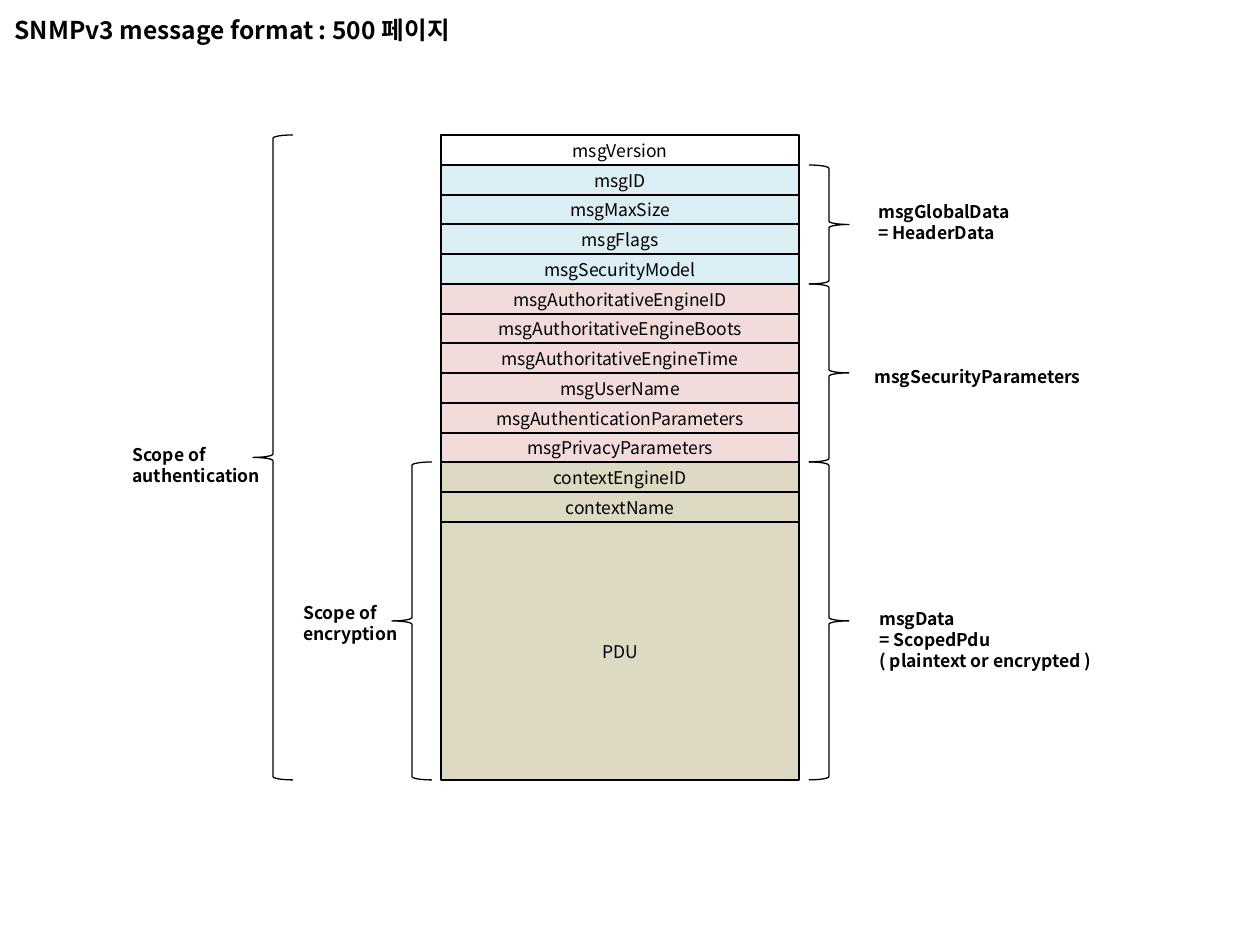
"""Build the SNMPv3 message format slide."""
from dataclasses import dataclass

from lxml import etree
from pptx import Presentation
from pptx.dml.color import RGBColor
from pptx.enum.shapes import MSO_SHAPE
from pptx.enum.text import MSO_ANCHOR, MSO_AUTO_SIZE, PP_ALIGN
from pptx.oxml.ns import qn
from pptx.util import Emu, Pt

RECTANGLE = MSO_SHAPE.RECTANGLE
LEFT_BRACE, RIGHT_BRACE = MSO_SHAPE.LEFT_BRACE, MSO_SHAPE.RIGHT_BRACE
MIDDLE, TOP = MSO_ANCHOR.MIDDLE, MSO_ANCHOR.TOP
LEFT, CENTER = PP_ALIGN.LEFT, PP_ALIGN.CENTER
NO_FIT, GROW = MSO_AUTO_SIZE.NONE, MSO_AUTO_SIZE.SHAPE_TO_FIT_TEXT

BLACK = RGBColor(0x00, 0x00, 0x00)
WHITE = RGBColor(0xFF, 0xFF, 0xFF)
BLUE = RGBColor(0xDB, 0xEE, 0xF4)
PINK = RGBColor(0xF2, 0xDC, 0xDB)
TAN = RGBColor(0xDD, 0xD9, 0xC3)

FONT = "Noto Sans CJK KR"
EMU_PER_INCH, PX_PER_INCH = 914400, 126
STACK_LEFT, STACK_TOP, STACK_WIDTH = 441, 135, 358
PDU_TOP, STACK_BOTTOM = 522, 780
BRACE_WIDTH = 40

TITLE_FORMAT = {"name": FONT, "size": Pt(14), "bold": True}
FIELD_FORMAT = {"name": FONT, "size": Pt(10), "bold": False}
LABEL_FORMAT = {"name": FONT, "size": Pt(10), "bold": True}
TITLE_FRAME = {"word_wrap": True, "auto_size": NO_FIT, "vertical_anchor": MIDDLE}
FIELD_FRAME = TITLE_FRAME
LABEL_FRAME = {"word_wrap": False, "auto_size": GROW, "vertical_anchor": TOP}
TITLE_PARA = {"alignment": LEFT}
FIELD_PARA = {"alignment": CENTER}
LABEL_PARA = {"alignment": LEFT, "line_spacing": Pt(12)}


@dataclass(frozen=True)
class Section:
    """Consecutive message fields that share a fill."""
    fill: RGBColor
    fields: tuple[str, ...]


@dataclass(frozen=True)
class Scope:
    """A brace over a range of field edges, with its label."""
    brace: MSO_SHAPE
    left: int
    first: int
    last: int
    label: tuple[str, ...]
    label_box: tuple[int, int, int, int]


SECTIONS = (
    Section(WHITE, ("msgVersion",)),
    Section(BLUE, ("msgID", "msgMaxSize", "msgFlags", "msgSecurityModel")),
    Section(PINK, ("msgAuthoritativeEngineID", "msgAuthoritativeEngineBoots",
                   "msgAuthoritativeEngineTime", "msgUserName",
                   "msgAuthenticationParameters", "msgPrivacyParameters")),
    Section(TAN, ("contextEngineID", "contextName", "PDU")),
)
FIELDS = [(name, section.fill) for section in SECTIONS for name in section.fields]
SMALL_FIELDS = len(FIELDS) - 1
EDGES = [STACK_TOP + round(index * (PDU_TOP - STACK_TOP) / SMALL_FIELDS)
         for index in range(SMALL_FIELDS + 1)] + [STACK_BOTTOM]

SCOPES = (
    Scope(RIGHT_BRACE, 809, 1, 5, ("msgGlobalData", "= HeaderData"),
          (866, 195, 159, 55)),
    Scope(RIGHT_BRACE, 809, 5, 11, ("msgSecurityParameters",),
          (862, 360, 234, 34)),
    Scope(RIGHT_BRACE, 809, 11, 14,
          ("msgData", "= ScopedPdu", "( plaintext or encrypted )"),
          (867, 602, 241, 76)),
    Scope(LEFT_BRACE, 392, 11, 14, ("Scope of", "encryption"),
          (291, 596, 120, 55)),
    Scope(LEFT_BRACE, 253, 0, 14, ("Scope of", "authentication"),
          (120, 438, 155, 55)),
)


def px(length: int) -> Emu:
    """Convert pixels to EMU."""
    return Emu(round(length * EMU_PER_INCH / PX_PER_INCH))


def apply(target, values: dict) -> None:
    """Set each named attribute on the target."""
    for name, value in values.items():
        setattr(target, name, value)


def write(box, lines: tuple[str, ...], frame_format: dict,
          para_format: dict, font_format: dict) -> None:
    """Write formatted paragraphs into a box."""
    frame = box.text_frame
    apply(frame, frame_format)
    for index, line in enumerate(lines):
        para = frame.add_paragraph() if index else frame.paragraphs[0]
        apply(para, para_format)
        span = para.add_run()
        span.text = line
        span.font.color.rgb = BLACK
        apply(span.font, font_format)
        etree.SubElement(span.font._element, qn("a:ea"), typeface=FONT)


def add_outline(page, kind: MSO_SHAPE, bounds: tuple[int, int, int, int],
                weight: float):
    """Add a black-lined shape without a shadow."""
    shape = page.shapes.add_shape(kind, *map(px, bounds))
    shape.shadow.inherit = False
    shape.line.color.rgb = BLACK
    shape.line.width = Pt(weight)
    shape.fill.background()
    return shape


def add_field(page, name: str, fill: RGBColor, top: int, bottom: int) -> None:
    """Draw one field of the message."""
    box = add_outline(page, RECTANGLE,
                      (STACK_LEFT, top, STACK_WIDTH, bottom - top), 1)
    if fill != WHITE:
        box.fill.solid()
        box.fill.fore_color.rgb = fill
    write(box, (name,), FIELD_FRAME, FIELD_PARA, FIELD_FORMAT)


def add_scope(page, scope: Scope) -> None:
    """Draw a brace and its label."""
    top, bottom = EDGES[scope.first], EDGES[scope.last]
    add_outline(page, scope.brace,
                (scope.left, top, BRACE_WIDTH, bottom - top), 0.75)
    box = page.shapes.add_textbox(*map(px, scope.label_box))
    write(box, scope.label, LABEL_FRAME, LABEL_PARA, LABEL_FORMAT)


def main() -> None:
    """Build and save the deck."""
    deck = Presentation()
    apply(deck, {"slide_width": px(1260), "slide_height": px(945)})
    page = deck.slides.add_slide(deck.slide_layouts[5])
    title = page.shapes.title
    apply(title, {"left": px(2), "top": px(6), "width": px(1134), "height": px(48)})
    write(title, ("SNMPv3 message format : 500 페이지",),
          TITLE_FRAME, TITLE_PARA, TITLE_FORMAT)
    for (name, fill), top, bottom in zip(FIELDS, EDGES, EDGES[1:]):
        add_field(page, name, fill, top, bottom)
    for scope in SCOPES:
        add_scope(page, scope)
    deck.save("out.pptx")


if __name__ == "__main__":
    main()
